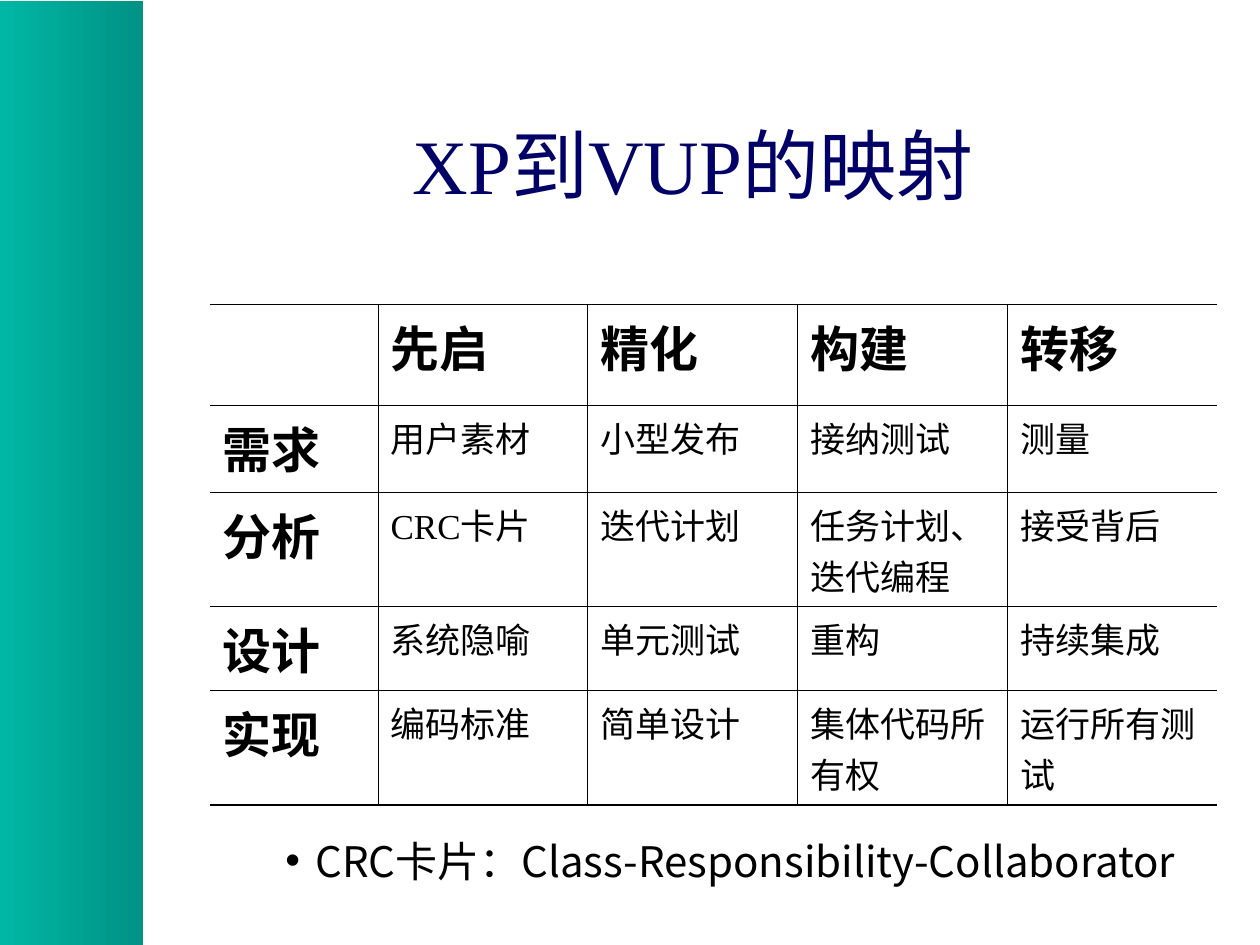
from dataclasses import dataclass

from lxml import etree
from pptx import Presentation
from pptx import util as u
from pptx.dml.color import RGBColor
from pptx.enum import shapes, text
from pptx.oxml import ns


@dataclass(frozen=True)
class Theme:
    ink: RGBColor = RGBColor(0x00, 0x00, 0x00)
    title_color: RGBColor = RGBColor(0x00, 0x00, 0x66)
    band_start: RGBColor = RGBColor(0x00, 0xB7, 0xA5)
    band_end: RGBColor = RGBColor(0x00, 0x92, 0x84)
    serif: str = "Times New Roman"
    sans: str = "Noto Sans CJK SC"
    title_size: float = 44
    heading_size: float = 28
    cell_size: float = 20
    caption_size: float = 24
    rule: float = 0.45
    bottom_rule: float = 1.08


@dataclass(frozen=True)
class Box:
    """Position and size in centimetres."""
    left: float
    top: float
    width: float
    height: float

    def lengths(self) -> tuple:
        return tuple(u.Cm(value) for value in (self.left, self.top, self.width, self.height))


@dataclass(frozen=True)
class TextStyle:
    size: float
    color: RGBColor
    latin: str
    bold: bool = False
    space_before: float = 0


THEME = Theme()
TITLE = TextStyle(THEME.title_size, THEME.title_color, THEME.serif)
HEADING = TextStyle(THEME.heading_size, THEME.ink, THEME.serif, True, 7)
CELL = TextStyle(THEME.cell_size, THEME.ink, THEME.serif, False, 5)
CAPTION = TextStyle(THEME.caption_size, THEME.ink, THEME.sans, False, 15)

PRACTICES = [
    ["", "先启", "精化", "构建", "转移"],
    ["需求", "用户素材", "小型发布", "接纳测试", "测量"],
    ["分析", "CRC卡片", "迭代计划", "任务计划、迭代编程", "接受背后"],
    ["设计", "系统隐喻", "单元测试", "重构", "持续集成"],
    ["实现", "编码标准", "简单设计", "集体代码所有权", "运行所有测试"],
]
COLUMN_WIDTHS = [3.39] + [4.23] * 4
ROW_HEIGHTS = [2.03, 1.76, 1.96, 1.69, 1.96]


def write(text_frame, wording: str, style: TextStyle):
    text_frame.text = wording
    paragraph = text_frame.paragraphs[0]
    paragraph.space_before = u.Pt(style.space_before)
    for run in paragraph.runs:
        run.font.size = u.Pt(style.size)
        run.font.bold = style.bold
        run.font.color.rgb = style.color
        run.font.name = style.latin
        east_asian = etree.SubElement(run.font._element, ns.qn("a:ea"))
        east_asian.set("typeface", THEME.sans)
    return paragraph


def place(shape, box: Box) -> None:
    shape.left, shape.top, shape.width, shape.height = box.lengths()


def add_band(slide, box: Box) -> None:
    """Add the side band behind everything else."""
    band = slide.shapes.add_shape(shapes.MSO_SHAPE.RECTANGLE, *box.lengths())
    band.shadow.inherit = False
    band.line.fill.background()
    band.fill.gradient()
    band.fill.gradient_angle = 0
    for stop, color in zip(band.fill.gradient_stops, (THEME.band_start, THEME.band_end)):
        stop.color.rgb = color
    slide.shapes._spTree.insert(2, band._element)


def set_borders(cell, widths: dict[str, float]) -> None:
    """Draw the cell's sides; a width of zero leaves a side open."""
    properties = cell._tc.get_or_add_tcPr()
    for position, (side, width) in enumerate(widths.items()):
        line = etree.Element(ns.qn(f"a:ln{side}"), w=str(u.Pt(width)))
        if width:
            fill = etree.SubElement(line, ns.qn("a:solidFill"))
            etree.SubElement(fill, ns.qn("a:srgbClr"), val=str(THEME.ink))
        else:
            etree.SubElement(line, ns.qn("a:noFill"))
        properties.insert(position, line)


def add_practice_table(slide, box: Box) -> None:
    last_row, last_column = len(PRACTICES) - 1, len(COLUMN_WIDTHS) - 1
    table = slide.shapes.add_table(last_row + 1, last_column + 1, *box.lengths()).table
    table.first_row = table.horz_banding = False
    for column, width in zip(table.columns, COLUMN_WIDTHS):
        column.width = u.Cm(width)
    for row, height in zip(table.rows, ROW_HEIGHTS):
        row.height = u.Cm(height)
    for row_index, row in enumerate(PRACTICES):
        for column_index, wording in enumerate(row):
            cell = table.cell(row_index, column_index)
            is_heading = row_index == 0 or column_index == 0
            write(cell.text_frame, wording, HEADING if is_heading else CELL)
            cell.fill.background()
            set_borders(cell, {
                "L": THEME.rule if column_index else 0,
                "R": THEME.rule if column_index < last_column else 0,
                "T": THEME.rule,
                "B": THEME.bottom_rule if row_index == last_row else THEME.rule,
            })


def fill_caption(slide, box: Box) -> None:
    """Turn the body placeholder into the bulleted note under the table."""
    caption = slide.placeholders[1]
    place(caption, box)
    caption.text_frame.auto_size = text.MSO_AUTO_SIZE.SHAPE_TO_FIT_TEXT
    paragraph = write(caption.text_frame, "CRC卡片：Class-Responsibility-Collaborator", CAPTION)
    properties = paragraph._p.get_or_add_pPr()
    properties.set("marL", str(u.Cm(0.6)))
    properties.set("indent", str(u.Cm(-0.6)))
    bullet_color = etree.SubElement(properties, ns.qn("a:buClr"))
    etree.SubElement(bullet_color, ns.qn("a:srgbClr"), val=str(THEME.ink))
    etree.SubElement(properties, ns.qn("a:buChar"), char="•")
    slide.shapes._spTree.append(caption._element)


def main() -> None:
    presentation = Presentation()
    presentation.slide_width, presentation.slide_height = u.Cm(25.4), u.Cm(19.05)
    slide = presentation.slides.add_slide(presentation.slide_layouts[1])

    add_band(slide, Box(0, 0.03, 2.88, 19.02))
    title = slide.shapes.title
    place(title, Box(3.18, 1.7, 21.59, 3.18))
    title.text_frame.vertical_anchor = text.MSO_ANCHOR.MIDDLE
    write(title.text_frame, "XP到VUP的映射", TITLE).alignment = text.PP_ALIGN.CENTER
    add_practice_table(slide, Box(4.23, 6.14, sum(COLUMN_WIDTHS), sum(ROW_HEIGHTS)))
    fill_caption(slide, Box(5.5, 16.71, 18.62, 1.27))

    presentation.save("out.pptx")


if __name__ == "__main__":
    main()
